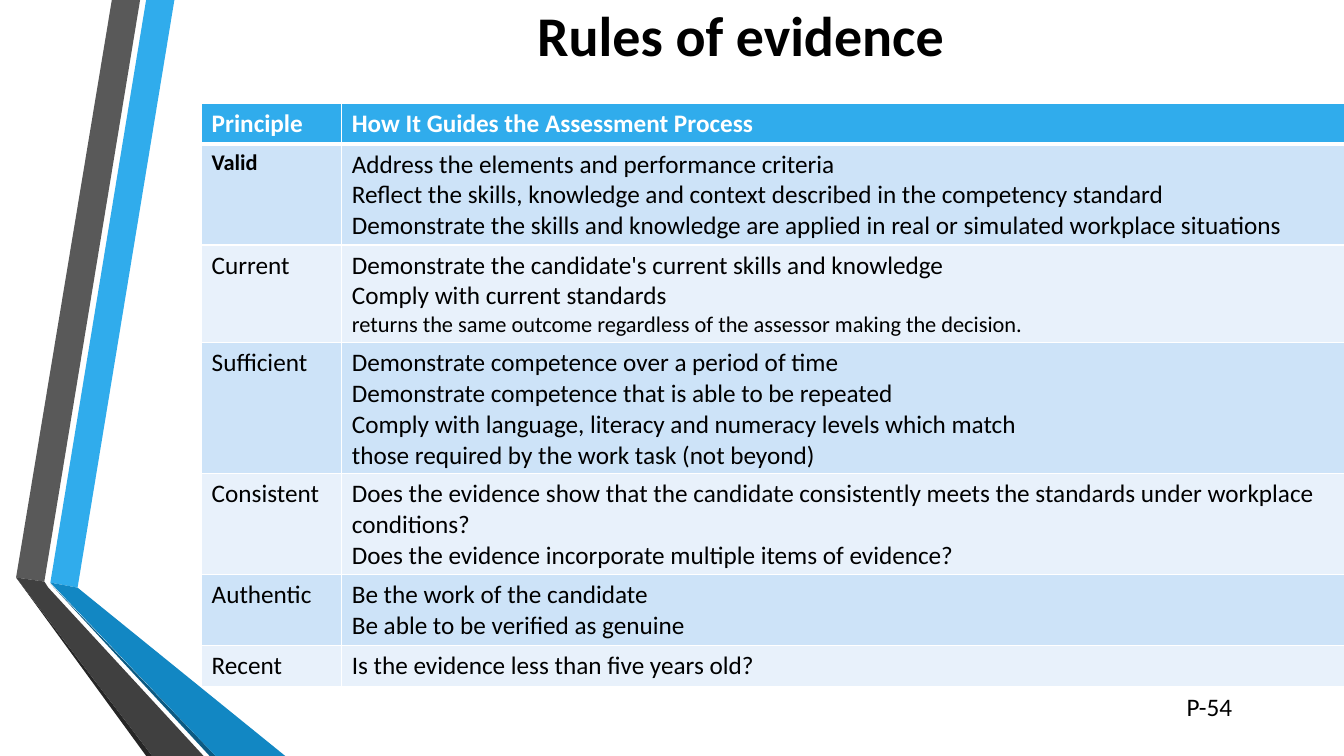
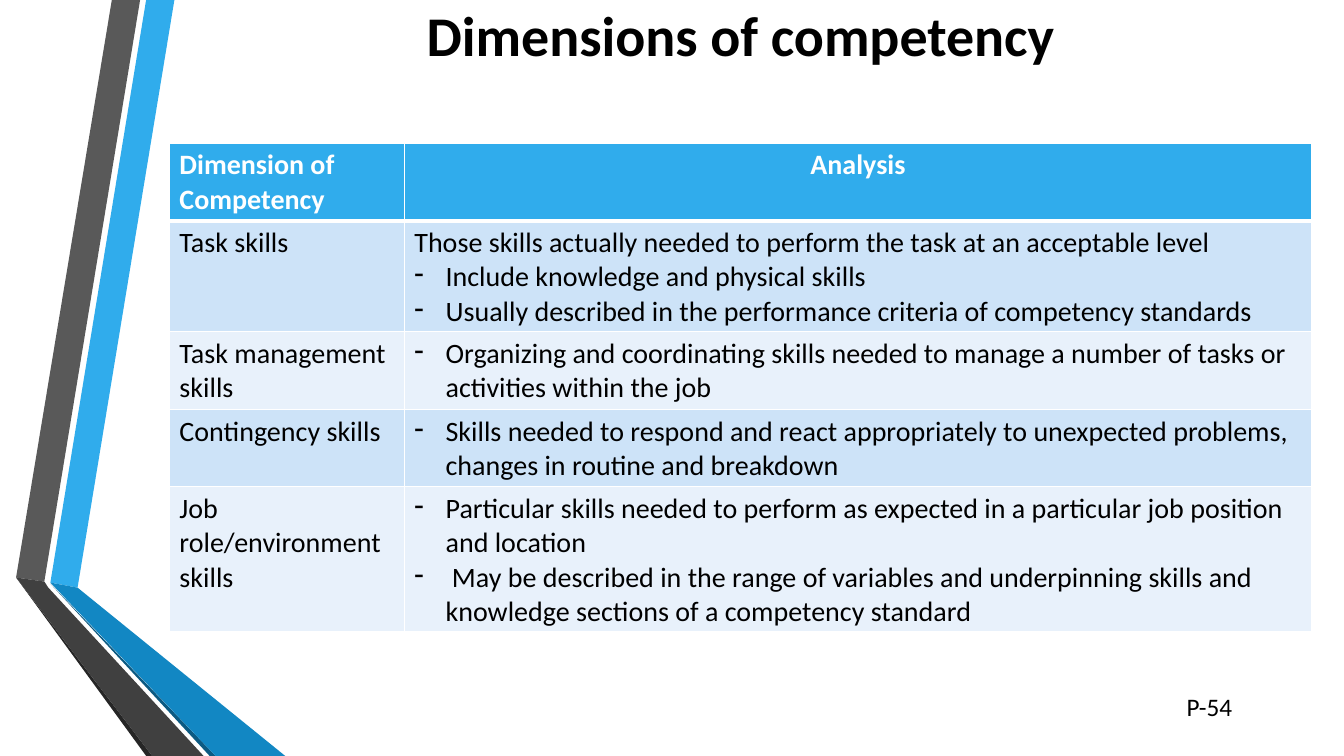
from lxml.etree import SubElement
from pptx import Presentation
from pptx.dml.color import RGBColor
from pptx.enum.text import MSO_ANCHOR, MSO_AUTO_SIZE, PP_ALIGN
from pptx.oxml import parse_xml
from pptx.oxml.ns import nsdecls, qn
from pptx.util import Inches, Pt

FONT = "Calibri"
BLACK, WHITE = "000000", "FFFFFF"
BLUE = "30ACEC"
ROW_FILLS = ("CDE3F8", "E8F1FB")
BULLET_INDENT = 0.31
BANDS = (
    (BLUE, [(0.5, 5.78), (0.77, 5.83), (1.73, 0), (1.45, 0)]),
    ("595959", [(1.39, 0), (1.11, 0), (0.16, 5.73), (0.44, 5.77)]),
    ("262626", [(0.16, 5.73), (1.45, 7.5), (1.51, 7.5)]),
    ("0C5A82", [(0.5, 5.79), (2.08, 7.5), (2.14, 7.5)]),
    ("1287C3", [(0.5, 5.78), (2.14, 7.5), (2.83, 7.5), (0.77, 5.83)]),
    ("404040", [(0.16, 5.73), (1.51, 7.5), (2.02, 7.5), (0.48, 5.83), (0.44, 5.77)]),
)

EVIDENCE_ROWS = [
    ("Principle", ["How It Guides the Assessment Process"]),
    ("Valid", [
        "Address the elements and performance criteria",
        "Reflect the skills, knowledge and context described in the competency standard",
        "Demonstrate the skills and knowledge are applied in real or simulated workplace situations",
    ]),
    ("Current", [
        "Demonstrate the candidate's current skills and knowledge",
        "Comply with current standards",
        "returns the same outcome regardless of the assessor making the decision.",
    ]),
    ("Sufficient", [
        "Demonstrate competence over a period of time",
        "Demonstrate competence that is able to be repeated",
        "Comply with language, literacy and numeracy levels which match",
        "those required by the work task (not beyond)",
    ]),
    ("Consistent", [
        "Does the evidence show that the candidate consistently meets the standards "
        "under workplace conditions?",
        "Does the evidence incorporate multiple items of evidence?",
    ]),
    ("Authentic", ["Be the work of the candidate", "Be able to be verified as genuine"]),
    ("Recent", ["Is the evidence less than five years old?"]),
]
EVIDENCE_FORMATS = {
    "Valid": {"size": 16, "bold": True},
    "returns the same outcome regardless of the assessor making the decision.": {"size": 16},
}

DIMENSION_ROWS = [
    ("Dimension of Competency", ["Analysis"]),
    ("Task skills", [
        "Those skills actually needed to perform the task at an acceptable level",
        "Include knowledge and physical skills",
        "Usually described in the performance criteria of competency standards",
    ]),
    ("Task management skills", [
        "Organizing and coordinating skills needed to manage a number of tasks or "
        "activities within the job",
    ]),
    ("Contingency skills", [
        "Skills needed to respond and react appropriately to unexpected problems, "
        "changes in routine and breakdown",
    ]),
    ("Job role/environment skills", [
        "Particular skills needed to perform as expected in a particular job position "
        "and location",
        " May be described in the range of variables and underpinning skills and "
        "knowledge sections of a competency standard",
    ]),
]
DIMENSION_FORMATS = {
    text: {"bullet": "-"} for _, lines in DIMENSION_ROWS[1:] for text in lines
}
DIMENSION_FORMATS["Analysis"] = {"align": PP_ALIGN.CENTER}
DIMENSION_FORMATS[DIMENSION_ROWS[1][1][0]] = {}


def rgb(color):
    return RGBColor.from_string(color)


def write_text(paragraph, text, size=18, color=BLACK, bold=False,
               align=PP_ALIGN.LEFT, bullet=None):
    run = paragraph.add_run()
    run.text = text
    run.font.name = FONT
    run.font.size = Pt(size)
    run.font.bold = bold
    run.font.color.rgb = rgb(color)
    paragraph.alignment = align
    if bullet:
        properties = paragraph._p.get_or_add_pPr()
        properties.set("marL", str(Inches(BULLET_INDENT)))
        properties.set("indent", str(-Inches(BULLET_INDENT)))
        SubElement(properties, qn("a:buChar")).set("char", bullet)


def add_band(slide, color, points):
    start, *rest = [(Inches(x), Inches(y)) for x, y in points]
    builder = slide.shapes.build_freeform(*start)
    builder.add_line_segments(rest, close=True)
    shape = builder.convert_to_shape()
    shape.shadow.inherit = False
    shape.fill.solid()
    shape.fill.fore_color.rgb = rgb(color)
    shape.line.fill.background()


def set_borders(cell, **widths):
    properties = cell._tc.get_or_add_tcPr()
    for index, side in enumerate("LRTB"):
        border = parse_xml(
            f'<a:ln{side} {nsdecls("a")} w="{Pt(widths.get(side, 1))}">'
            f'<a:solidFill><a:srgbClr val="{WHITE}"/></a:solidFill></a:ln{side}>'
        )
        properties.insert(index, border)


def fill_cell(cell, row, lines, formats, size):
    is_header = row == 0
    cell.fill.solid()
    cell.fill.fore_color.rgb = rgb(BLUE if is_header else ROW_FILLS[(row - 1) % 2])
    set_borders(cell, T=3 if row == 1 else 1, B=3 if is_header else 1)
    base = {"size": size, "color": WHITE if is_header else BLACK, "bold": is_header}
    frame = cell.text_frame
    for index, line in enumerate(lines):
        paragraph = frame.add_paragraph() if index else frame.paragraphs[0]
        write_text(paragraph, line, **{**base, **formats.get(line, {})})


def add_text_table(slide, rows, left, top, widths, heights, formats, size):
    frame = slide.shapes.add_table(
        len(rows), len(widths), Inches(left), Inches(top),
        Inches(sum(widths)), Inches(sum(heights)),
    )
    table = frame.table
    for column, width in zip(table.columns, widths):
        column.width = Inches(width)
    for index, (label, lines) in enumerate(rows):
        table.rows[index].height = Inches(heights[index])
        fill_cell(table.cell(index, 0), index, [label], formats, size)
        fill_cell(table.cell(index, 1), index, lines, formats, size)


def add_page_label(slide, text):
    box = slide.shapes.add_textbox(Inches(11.67), Inches(6.81), Inches(1.13), Inches(0.4))
    box.text_frame.word_wrap = True
    write_text(box.text_frame.paragraphs[0], text)


def add_slide(presentation, title_text):
    slide = presentation.slides.add_slide(presentation.slide_layouts[5])
    for color, points in BANDS:
        add_band(slide, color, points)
    title = slide.shapes.title
    title.left, title.top = Inches(1.36), Inches(0)
    title.width, title.height = Inches(11.97), Inches(0.67)
    title.text_frame.auto_size = MSO_AUTO_SIZE.NONE
    title.text_frame.vertical_anchor = MSO_ANCHOR.MIDDLE
    write_text(title.text_frame.paragraphs[0], title_text,
               size=40, bold=True, align=PP_ALIGN.CENTER)
    add_page_label(slide, "P-54")
    return slide


def main():
    presentation = Presentation()
    presentation.slide_width = Inches(13.33)
    presentation.slide_height = Inches(7.5)

    evidence = add_slide(presentation, "Rules of evidence")
    add_text_table(evidence, EVIDENCE_ROWS, 2, 1.03, (1.39, 9.95),
                   (0.4, 1, 0.97, 1.3, 1, 0.7, 0.41), EVIDENCE_FORMATS, 18)

    dimensions = add_slide(presentation, "Dimensions of competency")
    add_text_table(dimensions, DIMENSION_ROWS, 1.68, 1.42, (2.33, 9),
                   (0.77, 1.1, 0.77, 0.77, 1.42), DIMENSION_FORMATS, 20)

    presentation.save("out.pptx")


if __name__ == "__main__":
    main()
